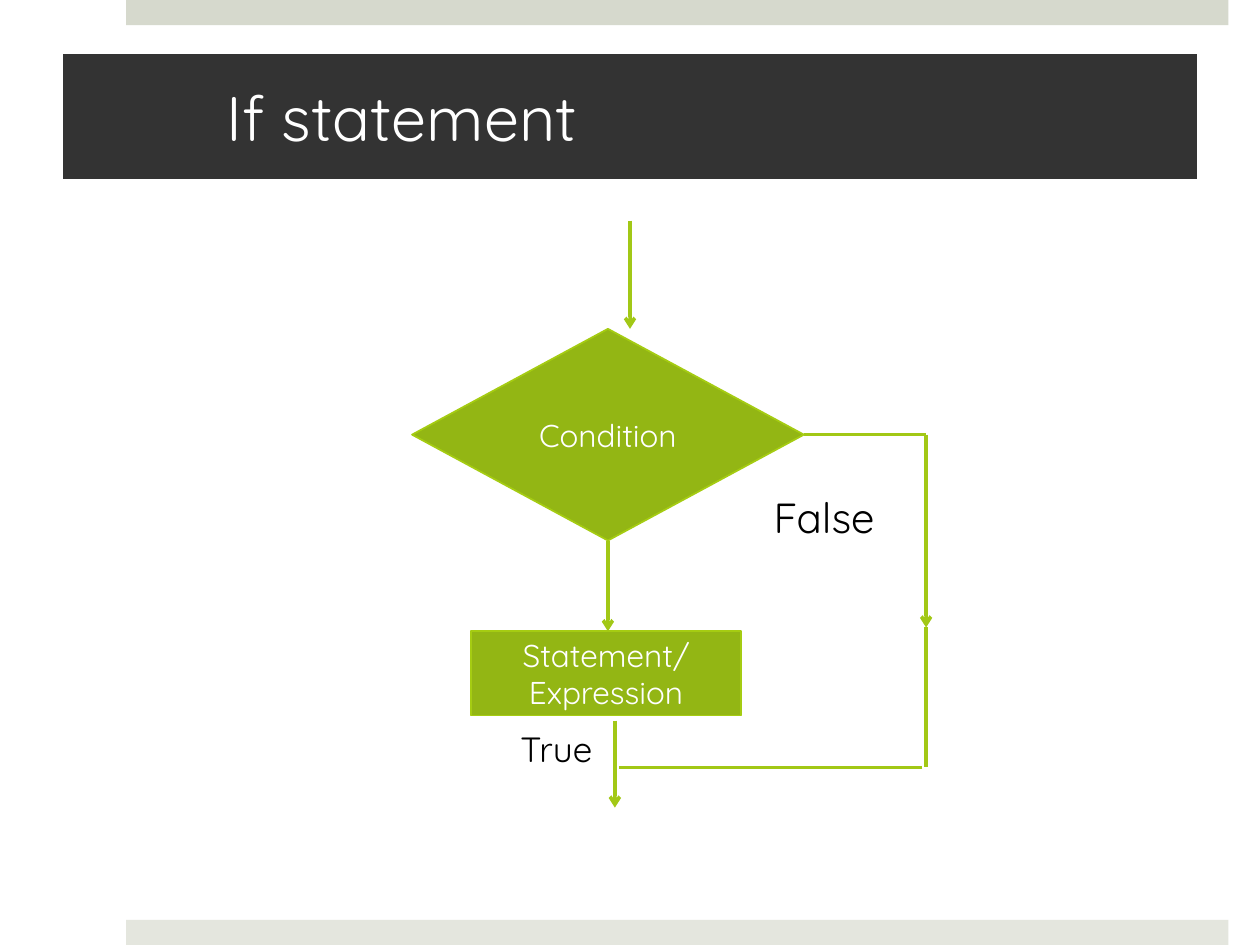
from dataclasses import dataclass
from typing import Optional

from lxml import etree
from pptx import Presentation
from pptx.dml.color import RGBColor
from pptx.enum import shapes, text
from pptx.oxml.ns import qn
from pptx.util import Emu, Inches, Pt

# Grid of 100 columns by 75 rows on a 10 x 7.5 inch slide
WIDTH, HEIGHT = Inches(10), Inches(7.5)
COLS, ROWS = 100, 75
FONT = "Quicksand"
WHITE, BLACK, DARK = "FFFFFF", "000000", "333333"
GREEN, EDGE, LINE = "93B614", "A5CC12", "A2C816"


@dataclass
class Box:
    col: float
    row: float
    cols: float
    rows: float


@dataclass
class Node:
    kind: shapes.MSO_SHAPE
    box: Box
    label: str = ""
    fill: str = GREEN
    edge: Optional[str] = EDGE


@dataclass
class Link:
    start: tuple[float, float]
    end: tuple[float, float]
    arrow: bool = False
    source: Optional[str] = None
    site: int = 0


def x(col: float) -> Emu:
    return Emu(round(WIDTH * col / COLS))


def y(row: float) -> Emu:
    return Emu(round(HEIGHT * row / ROWS))


def rgb(value: str) -> RGBColor:
    return RGBColor.from_string(value)


def place(sp, box: Box) -> None:
    sp.left, sp.top = x(box.col), y(box.row)
    sp.width, sp.height = x(box.cols), y(box.rows)


def write(p, words: str, size: float = 18, color: str = WHITE,
          align=text.PP_ALIGN.CENTER, before: float = 0) -> None:
    p.alignment, p.space_before = align, Pt(before)
    r = p.add_run()
    r.text = words
    r.font.name, r.font.size = FONT, Pt(size)
    r.font.color.rgb = rgb(color)


def draw_node(s, node: Node):
    b = node.box
    sp = s.shapes.add_shape(node.kind, x(b.col), y(b.row), x(b.cols), y(b.rows))
    sp.shadow.inherit = False
    sp.fill.solid()
    sp.fill.fore_color.rgb = rgb(node.fill)
    if node.edge:
        sp.line.color.rgb, sp.line.width = rgb(node.edge), Pt(1)
    else:
        sp.line.fill.background()
    if node.label:
        tf = sp.text_frame
        tf.word_wrap = True
        tf.vertical_anchor = text.MSO_ANCHOR.MIDDLE
        write(tf.paragraphs[0], node.label)
    return sp


def draw_link(s, link: Link, nodes: dict) -> None:
    (c1, r1), (c2, r2) = link.start, link.end
    cn = s.shapes.add_connector(shapes.MSO_CONNECTOR.STRAIGHT,
                                x(c1), y(r1), x(c2), y(r2))
    if link.source:
        cn.begin_connect(nodes[link.source], link.site)
    cn.line.color.rgb, cn.line.width = rgb(LINE), Pt(2)
    if link.arrow:
        etree.SubElement(cn.line._get_or_add_ln(), qn("a:tailEnd"), type="arrow")
    etree.SubElement(cn._element.spPr, qn("a:effectLst"))


def add_title(s, words: str) -> None:
    sp = s.shapes.title
    place(sp, Box(5, 4.3, 90, 9.9))
    sp.fill.solid()
    sp.fill.fore_color.rgb = rgb(DARK)
    tf = sp.text_frame
    tf.auto_size = text.MSO_AUTO_SIZE.NONE
    tf.vertical_anchor = text.MSO_ANCHOR.MIDDLE
    tf.margin_left, tf.margin_right = x(13), x(3)
    write(tf.paragraphs[0], words, size=36, align=text.PP_ALIGN.LEFT)


def add_branch_labels(s) -> None:
    sp = s.placeholders[1]
    place(sp, Box(12.2, 38.5, 83.2, 30))
    tf = sp.text_frame
    tf.auto_size = text.MSO_AUTO_SIZE.NONE
    # label, size, indent in columns, space before
    labels = [("False", 24, 48.2, 0), ("True", 20, 28.1, 106)]
    for i, (words, size, indent, before) in enumerate(labels):
        p = tf.add_paragraph() if i else tf.paragraphs[0]
        pPr = p._p.get_or_add_pPr()
        pPr.set("marL", str(x(indent)))
        pPr.set("indent", "0")
        etree.SubElement(pPr, qn("a:buNone"))
        write(p, words, size=size, color=BLACK,
              align=text.PP_ALIGN.LEFT, before=before)


def main() -> None:
    prs = Presentation()
    prs.slide_width, prs.slide_height = WIDTH, HEIGHT
    s = prs.slides.add_slide(prs.slide_layouts[1])

    # Bands at the top and bottom edges
    rect = shapes.MSO_SHAPE.RECTANGLE
    for row, fill in ((0, "D6D9CD"), (ROWS - 2, "E4E6DE")):
        draw_node(s, Node(rect, Box(10, row, 87.5, 2), fill=fill, edge=None))

    # Title and branch labels
    add_title(s, "If statement")
    add_branch_labels(s)

    # Flowchart steps
    steps = {
        "condition": Node(shapes.MSO_SHAPE.FLOWCHART_DECISION,
                          Box(32.7, 26.1, 31.1, 16.8), "Condition"),
        "statement": Node(shapes.MSO_SHAPE.FLOWCHART_PROCESS,
                          Box(37.4, 50.1, 21.4, 6.7), "Statement/ Expression"),
    }
    nodes = {name: draw_node(s, node) for name, node in steps.items()}

    # Flow lines: entry, true branch, then the false branch and its return
    mid, bypass, exit_col = 48.25, 73.5, 48.8
    turn, join = 34.5, 60.9
    links = [
        Link((50, 17.5), (50, 26.1), arrow=True),
        Link((mid, 42.9), (mid, 50.1), True, "condition", 2),
        Link((exit_col, 57.2), (exit_col, 64.1), arrow=True),
        Link((63.8, turn), (bypass, turn), False, "condition", 3),
        Link((bypass, turn), (bypass, 49.8), arrow=True),
        Link((bypass, 49.8), (bypass, join)),
        Link((73.2, join), (49.1, join)),
    ]
    for link in links:
        draw_link(s, link, nodes)

    prs.save("out.pptx")


if __name__ == "__main__":
    main()
